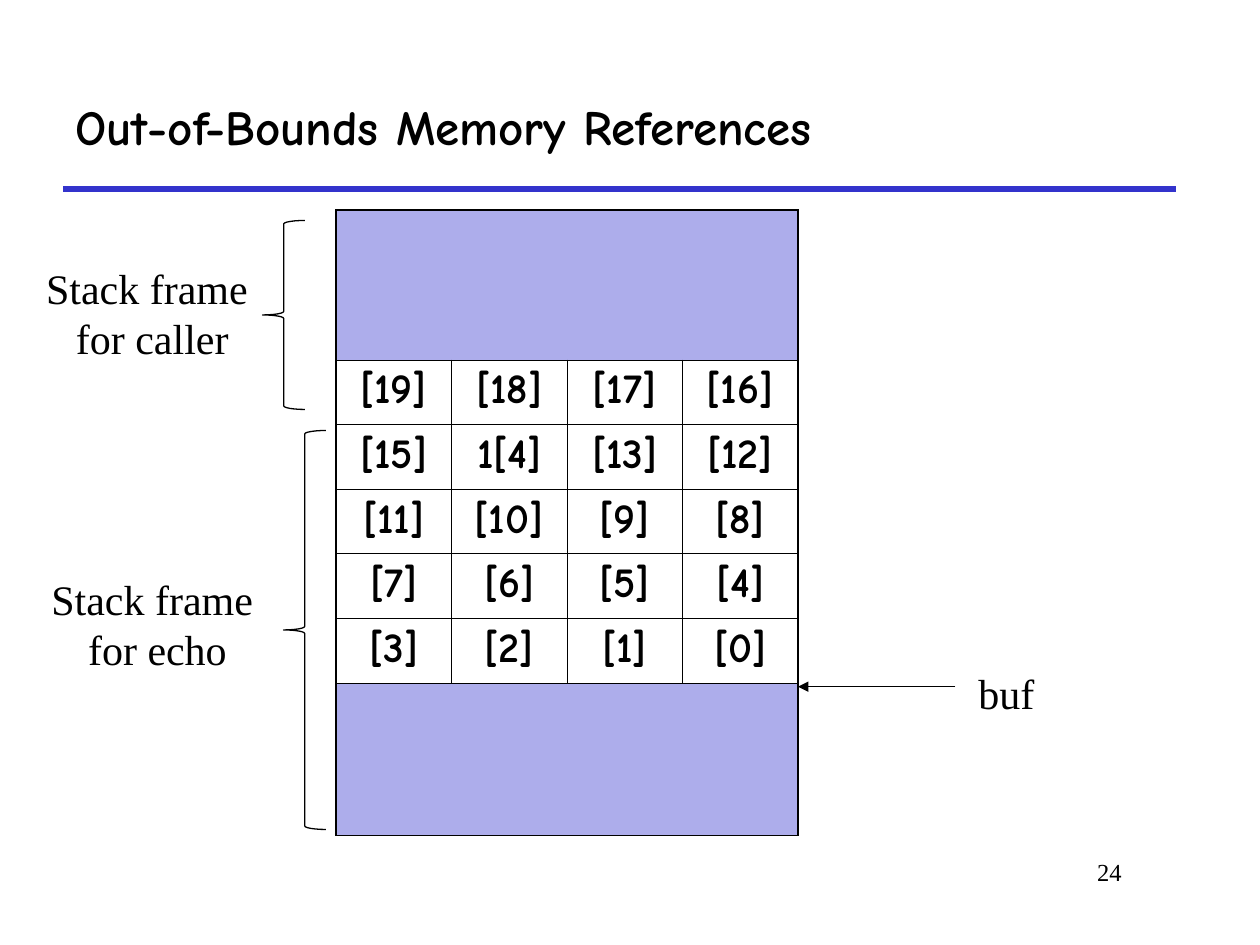
from dataclasses import dataclass

from lxml import etree
from pptx import Presentation
from pptx.dml.color import RGBColor
from pptx.enum.shapes import MSO_CONNECTOR, MSO_SHAPE
from pptx.enum.text import MSO_ANCHOR, PP_ALIGN
from pptx.oxml import parse_xml
from pptx.oxml.ns import nsdecls, qn
from pptx.util import Inches, Pt

BLACK = RGBColor(0x00, 0x00, 0x00)
RULE_BLUE = RGBColor(0x33, 0x33, 0xCC)
LAVENDER = RGBColor(0xAD, 0xAD, 0xEB)
COMIC, TIMES = "Comic Neue", "Times New Roman"
LEFT, CENTER, RIGHT = PP_ALIGN.LEFT, PP_ALIGN.CENTER, PP_ALIGN.RIGHT
TOP, MIDDLE = MSO_ANCHOR.TOP, MSO_ANCHOR.MIDDLE
STRAIGHT, LEFT_BRACE = MSO_CONNECTOR.STRAIGHT, MSO_SHAPE.LEFT_BRACE

# The slide is a grid of 120 columns by 90 rows, 12 to the inch
COLS, ROWS = 120, 90
STACK_LEFT, STACK_TOP, BYTE_W = 32, 20, 11
WORD_SIZE = 4
ROW_HEIGHTS = [14.28, 6.15, 6.15, 6.15, 6.15, 6.2, 14.5]
STACK_RIGHT = STACK_LEFT + WORD_SIZE * BYTE_W
THIN, THICK = 0.45, 1.08


@dataclass(frozen=True)
class Label:
    lines: tuple[str, ...]
    x: float
    y: float
    w: float
    h: float
    size: int = 24
    font: str = TIMES
    bold: bool = False
    align: PP_ALIGN = CENTER
    anchor: MSO_ANCHOR = TOP
    wrap: bool = True


@dataclass(frozen=True)
class Brace:
    x: float
    top: float
    bottom: float
    width: float = 4.04


LABELS = [
    Label(("Out-of-Bounds Memory References",), 6, 6, 109, 12,
          size=28, font=COMIC, bold=True, align=LEFT, anchor=MIDDLE),
    Label(("Stack frame", " for caller"), 3, 24.4, 22, 10.8),
    Label(("Stack frame ", "for echo"), 3, 54, 24, 10.8),
    Label(("buf",), 92, 63, 7.7, 6, align=LEFT, wrap=False),
    Label(("24",), 91, 81, 17, 6, size=14, align=RIGHT),
]
BRACES = [Brace(25, 21, 39), Brace(27, 41, 79)]


def grid(units: float) -> int:
    return Inches(units / 12)


def style_paragraph(p, text: str, font: str, size: int, bold: bool, align: PP_ALIGN) -> None:
    p.text = text
    p.alignment = align
    p.font.name, p.font.size, p.font.bold = font, Pt(size), bold
    p.font.color.rgb = BLACK


def add_label(s, label: Label) -> None:
    box = s.shapes.add_textbox(*map(grid, (label.x, label.y, label.w, label.h)))
    tf = box.text_frame
    tf.word_wrap, tf.vertical_anchor = label.wrap, label.anchor
    for i, line in enumerate(label.lines):
        p = tf.add_paragraph() if i else tf.paragraphs[0]
        style_paragraph(p, line, label.font, label.size, label.bold, label.align)


def add_line(s, x1: float, y1: float, x2: float, y2: float,
             color: RGBColor, width: float, arrow: bool = False) -> None:
    line = s.shapes.add_connector(STRAIGHT, *map(grid, (x1, y1, x2, y2)))
    line.line.color.rgb, line.line.width = color, Pt(width)
    if arrow:
        etree.SubElement(line.line._get_or_add_ln(), qn("a:tailEnd"), type="triangle")
    etree.SubElement(line._element.spPr, qn("a:effectLst"))


def add_brace(s, brace: Brace) -> None:
    shape = s.shapes.add_shape(LEFT_BRACE, *map(
        grid, (brace.x, brace.top, brace.width, brace.bottom - brace.top)))
    shape.shadow.inherit = False
    shape.fill.background()
    shape.line.color.rgb, shape.line.width = BLACK, Pt(0.75)


def set_borders(cell, widths: dict[str, float]) -> None:
    tc_pr = cell._tc.get_or_add_tcPr()
    for i, side in enumerate(("L", "R", "T", "B")):
        tc_pr.insert(i, parse_xml(
            f'<a:ln{side} {nsdecls("a")} w="{Pt(widths[side])}">'
            f'<a:solidFill><a:srgbClr val="{BLACK}"/></a:solidFill></a:ln{side}>'))


def byte_label(index: int) -> str:
    return "1[4]" if index == 14 else f"[{index}]"


def add_stack(s) -> None:
    n_rows = len(ROW_HEIGHTS)
    last_row, last_col = n_rows - 1, WORD_SIZE - 1
    table = s.shapes.add_table(n_rows, WORD_SIZE, *map(grid, (
        STACK_LEFT, STACK_TOP, WORD_SIZE * BYTE_W, sum(ROW_HEIGHTS)))).table
    table.first_row = table.horz_banding = False
    for col in table.columns:
        col.width = grid(BYTE_W)
    for r, height in enumerate(ROW_HEIGHTS):
        table.rows[r].height = grid(height)
        is_frame = r in (0, last_row)
        if is_frame:
            table.cell(r, 0).merge(table.cell(r, last_col))
        for c in range(WORD_SIZE):
            cell = table.cell(r, c)
            set_borders(cell, {
                "L": THICK if c == 0 else THIN,
                "R": THICK if is_frame or c == last_col else THIN,
                "T": THICK if r == 0 else THIN,
                "B": THICK if r == last_row else THIN,
            })
            if is_frame:
                cell.fill.solid()
                cell.fill.fore_color.rgb = LAVENDER
                continue
            # Byte indices fall from the top left to [0] at the bottom right
            cell.fill.background()
            index = (last_row - r) * WORD_SIZE - 1 - c
            p = cell.text_frame.paragraphs[0]
            style_paragraph(p, byte_label(index), COMIC, 24, True, CENTER)
            p.space_before = Pt(6)


def main() -> None:
    prs = Presentation()
    prs.slide_width, prs.slide_height = grid(COLS), grid(ROWS)
    s = prs.slides.add_slide(prs.slide_layouts[6])

    # Rule under the title
    add_line(s, 6, 18, 112, 18, RULE_BLUE, 3)

    # Stack memory and the pointer to the buffer
    add_stack(s)
    add_line(s, 91, 65.4, STACK_RIGHT, 65.4, BLACK, 0.75, arrow=True)

    # Stack frame braces and all text
    for brace in BRACES:
        add_brace(s, brace)
    for label in LABELS:
        add_label(s, label)

    prs.save("out.pptx")


if __name__ == "__main__":
    main()
